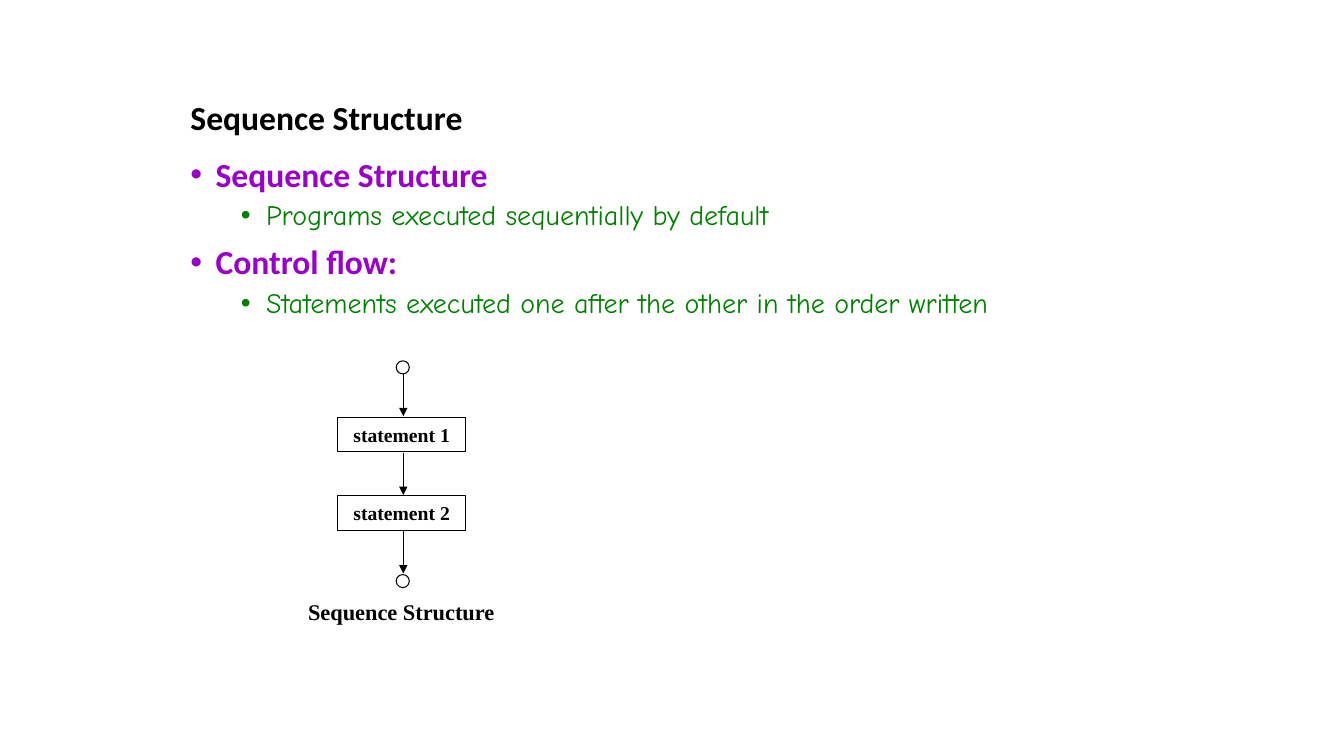
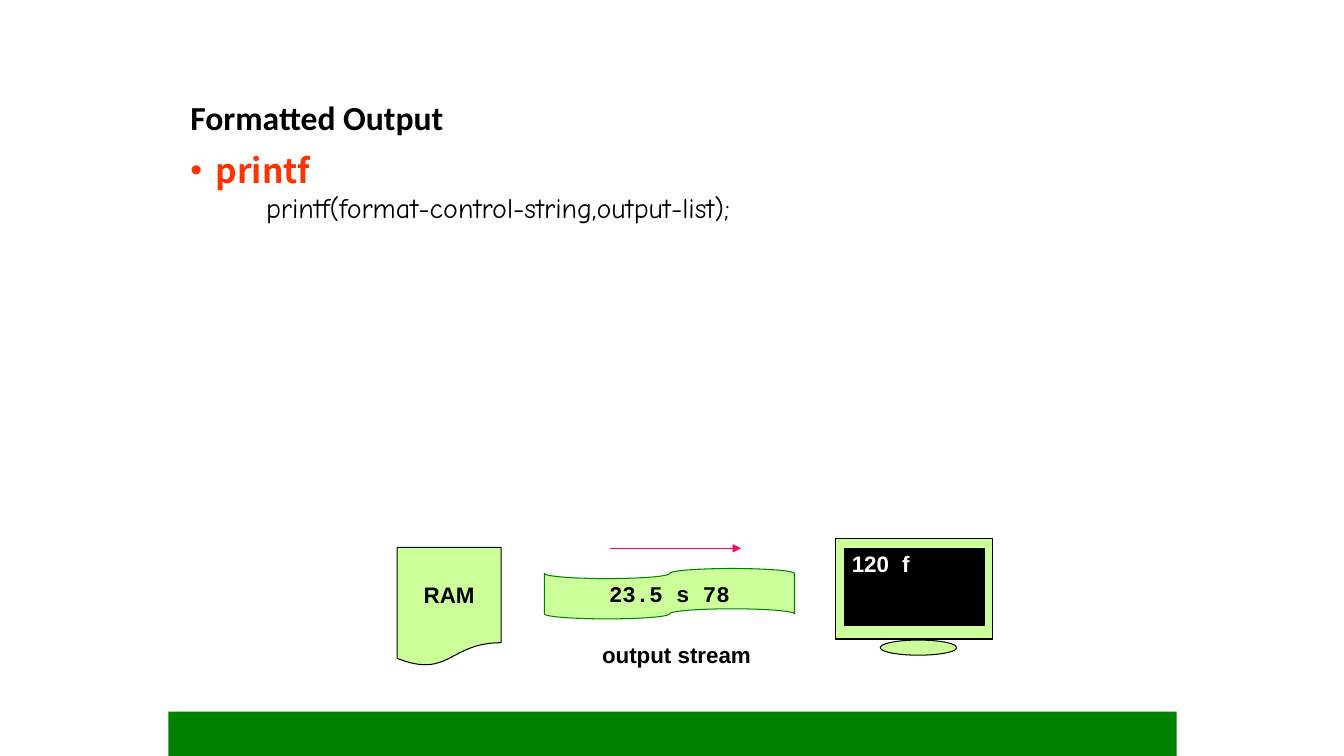
from dataclasses import dataclass
from typing import Optional

from lxml.etree import SubElement
from pptx import Presentation
from pptx.dml.color import RGBColor
from pptx.enum.shapes import MSO_CONNECTOR as Connector, MSO_SHAPE as Shape
from pptx.enum.text import MSO_ANCHOR as Anchor, PP_ALIGN as Align
from pptx.oxml.ns import qn
from pptx.util import Inches, Pt

BLACK, WHITE, GREEN = "000000", "FFFFFF", "008000"
PURPLE, RED, PINK, LIME = "9900CC", "FF3300", "FF0066", "CCFF99"
HEADING_FONT, DETAIL_FONT, LABEL_FONT = "Calibri", "Comic Neue", "Arial"
DIAGRAM_FONT = "Times New Roman"
CONTENT_LEFT, CONTENT_WIDTH = 1.79, 9.75
LINE_WIDTH = 0.75


@dataclass(frozen=True)
class Style:
    font: str
    size: float
    color: str = BLACK
    bold: bool = True


@dataclass(frozen=True)
class Item:
    text: str
    style: Style
    level: int = 0
    bullet: bool = True


@dataclass(frozen=True)
class Box:
    left: float
    top: float
    width: float
    height: float
    kind: Optional[Shape] = Shape.RECTANGLE
    fill: Optional[str] = None
    line: Optional[str] = BLACK
    text: str = ""
    style: Optional[Style] = None
    align: Align = Align.CENTER
    tab: Optional[float] = None


@dataclass(frozen=True)
class Arrow:
    left: float
    top: float
    right: float
    bottom: float
    color: str = BLACK


TITLE = Style(HEADING_FONT, 24)
TOPIC = Style(HEADING_FONT, 24, PURPLE)
DETAIL = Style(DETAIL_FONT, 20, GREEN, False)
FUNCTION = Style("Noto Sans CJK SC", 24, RED)
SYNTAX = Style(DETAIL_FONT, 20, BLACK, False)
STATEMENT = Style(DIAGRAM_FONT, 14)
CAPTION = Style(DIAGRAM_FONT, 16)
LABEL = Style(LABEL_FONT, 16)
STREAM = Style("Courier New", 16)
SCREEN = Style(LABEL_FONT, 16, WHITE)


def rgb(color: str) -> RGBColor:
    return RGBColor.from_string(color)


def add_run(paragraph, text: str, style: Style) -> None:
    run = paragraph.add_run()
    run.text = text
    run.font.name = style.font
    run.font.size = Pt(style.size)
    run.font.bold = style.bold
    run.font.color.rgb = rgb(style.color)


def add_box(slide, box: Box):
    place = [Inches(value) for value in (box.left, box.top, box.width, box.height)]
    if box.kind is None:
        shape = slide.shapes.add_textbox(*place)
    else:
        shape = slide.shapes.add_shape(box.kind, *place)
        shape.shadow.inherit = False
        if box.line:
            shape.line.color.rgb = rgb(box.line)
            shape.line.width = Pt(LINE_WIDTH)
        else:
            shape.line.fill.background()
    if box.fill:
        shape.fill.solid()
        shape.fill.fore_color.rgb = rgb(box.fill)
    else:
        shape.fill.background()
    frame = shape.text_frame
    frame.word_wrap = True
    frame.vertical_anchor = Anchor.MIDDLE
    if box.text:
        paragraph = frame.paragraphs[0]
        paragraph.alignment = box.align
        if box.tab:
            tabs = SubElement(paragraph._p.get_or_add_pPr(), qn("a:tabLst"))
            SubElement(tabs, qn("a:tab"), pos=str(Inches(box.tab)), algn="l")
        add_run(paragraph, box.text, box.style)
    return shape


def add_arrow(slide, arrow: Arrow) -> None:
    ends = [Inches(value) for value in (arrow.left, arrow.top, arrow.right, arrow.bottom)]
    connector = slide.shapes.add_connector(Connector.STRAIGHT, *ends)
    connector.line.color.rgb = rgb(arrow.color)
    connector.line.width = Pt(LINE_WIDTH)
    SubElement(connector.line._get_or_add_ln(), qn("a:tailEnd"), type="triangle")
    SubElement(connector._element.spPr, qn("a:effectLst"))


def add_body(slide, items: list[Item], spacing: float) -> None:
    shape = add_box(slide, Box(CONTENT_LEFT, 1.52, CONTENT_WIDTH, 5.49, kind=None))
    frame = shape.text_frame
    frame.vertical_anchor = Anchor.TOP
    for index, item in enumerate(items):
        paragraph = frame.add_paragraph() if index else frame.paragraphs[0]
        paragraph.level = item.level
        paragraph.line_spacing = spacing
        if index:
            paragraph.space_before = Pt(5 if item.level else 10)
        properties = paragraph._p.get_or_add_pPr()
        properties.set("marL", str(Inches(0.25 + 0.5 * item.level)))
        properties.set("indent", str(Inches(-0.25 if item.bullet else 0)))
        if item.bullet:
            SubElement(properties, qn("a:buFont"), typeface="Arial")
            SubElement(properties, qn("a:buChar"), char="•")
        else:
            SubElement(properties, qn("a:buNone"))
        add_run(paragraph, item.text, item.style)


def add_content_slide(presentation, title: str, items: list[Item], spacing: float):
    slide = presentation.slides.add_slide(presentation.slide_layouts[6])
    heading = add_box(slide, Box(CONTENT_LEFT, 0.52, CONTENT_WIDTH, 0.95, fill=WHITE, line=None,
                                 text=title, style=TITLE, align=Align.LEFT))
    heading.text_frame.vertical_anchor = Anchor.BOTTOM
    heading.text_frame.margin_bottom = Inches(0.1)
    heading.text_frame.paragraphs[0].line_spacing = 0.9
    add_body(slide, items, spacing)
    return slide


def add_sequence_slide(presentation) -> None:
    slide = add_content_slide(presentation, "Sequence Structure", [
        Item("Sequence Structure", TOPIC),
        Item("Programs executed sequentially by default", DETAIL, 1),
        Item("Control flow:", TOPIC),
        Item("Statements executed one after the other in the order written", DETAIL, 1),
    ], 0.9)
    step = 0.78
    for index in range(2):
        add_box(slide, Box(3.35, 4.14 + step * index, 1.27, 0.34,
                           text=f"statement {index + 1}", style=STATEMENT))
    for index in range(3):
        top = 3.71 + step * index
        add_arrow(slide, Arrow(4, top, 4, top + 0.42))
    add_box(slide, Box(2.9, 5.88, 2.16, 0.37, kind=None,
                       text="Sequence Structure", style=CAPTION))
    for top in (3.58, 5.7):
        add_box(slide, Box(3.93, top, 0.13, 0.13, Shape.OVAL))


def add_output_slide(presentation) -> None:
    slide = add_content_slide(presentation, "Formatted Output", [
        Item("printf", FUNCTION),
        Item("printf(format-control-string,output-list);", SYNTAX, 1, bullet=False),
    ], 0.8)
    add_arrow(slide, Arrow(6.05, 5.44, 7.35, 5.44, PINK))
    footer = Box(1.67, 7.06, 10, 0.44, fill=GREEN, line=None)
    tape = Box(5.4, 5.64, 2.48, 0.5, Shape.FLOWCHART_PUNCHED_TAPE, LIME, GREEN,
               "23.5 s 78", STREAM)
    monitor = Box(8.29, 5.34, 1.55, 1, fill=LIME)
    screen = Box(8.38, 5.44, 1.38, 0.77, fill=BLACK)
    stand = Box(8.73, 6.35, 0.76, 0.15, Shape.OVAL, LIME)
    stream_label = Box(5.84, 6.31, 1.74, 0.37, kind=None, text="output stream", style=LABEL)
    screen_text = Box(8.35, 5.41, 0.86, 0.37, kind=None, text="120\tf", style=SCREEN,
                      align=Align.LEFT, tab=0.5)
    memory = Box(3.94, 5.43, 1.03, 1.18, Shape.FLOWCHART_DOCUMENT, LIME,
                 text="RAM", style=LABEL)
    for box in (footer, tape, monitor, screen, stand, stream_label, screen_text, memory):
        add_box(slide, box)


def main() -> None:
    """Build the slides on sequence structure and formatted output."""
    presentation = Presentation()
    presentation.slide_width = Inches(13.33)
    presentation.slide_height = Inches(7.5)
    add_sequence_slide(presentation)
    add_output_slide(presentation)
    presentation.save("out.pptx")


if __name__ == "__main__":
    main()
